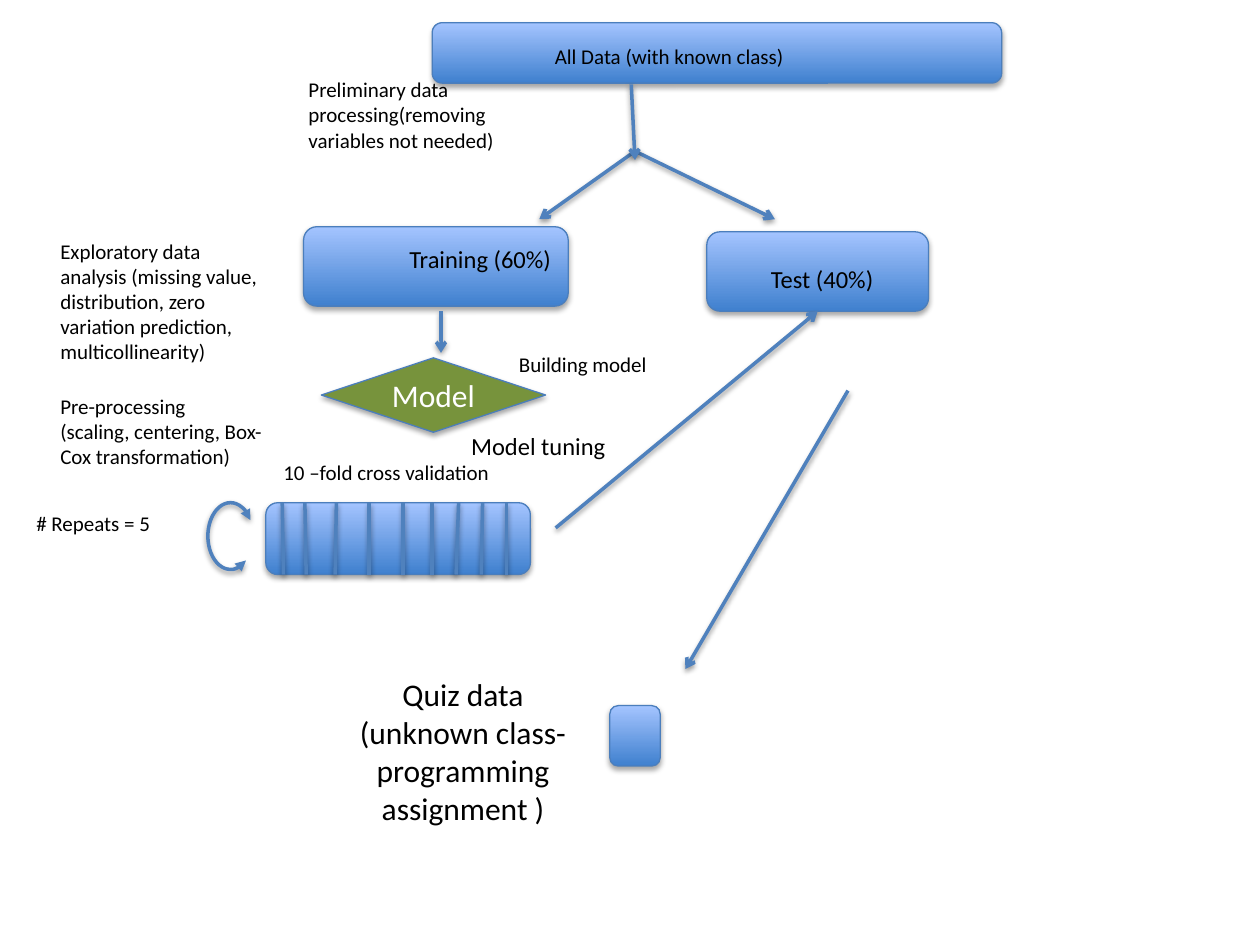
from lxml.etree import SubElement
from pptx import Presentation
from pptx.dml.color import RGBColor
from pptx.enum.shapes import MSO_CONNECTOR as Link, MSO_SHAPE as Preset
from pptx.enum.text import MSO_ANCHOR as Anchor, MSO_AUTO_SIZE as AutoSize, PP_ALIGN as Align
from pptx.oxml.ns import qn
from pptx.util import Inches, Pt

FONT = "Calibri"
EDGE = "4B7EBC"
STROKE = "4F81BD"


def color(code):
    """Turn a hex string into a colour."""
    return RGBColor.from_string(code)


def add_shadow(shape, opacity, distance):
    """Give a shape or connector a soft shadow straight below it."""
    effects = SubElement(shape._element.spPr, qn("a:effectLst"))
    outer = SubElement(effects, qn("a:outerShdw"), blurRad=str(Pt(3.1)),
                       dist=str(Pt(distance)), dir="5400000", rotWithShape="0")
    tone = SubElement(outer, qn("a:srgbClr"), val="000000")
    SubElement(tone, qn("a:alpha"), val=str(opacity * 1000))


def set_line(shape, code, width, head=None, tail=None):
    """Set the line colour, width and arrowheads."""
    shape.line.color.rgb = color(code)
    shape.line.width = Pt(width)
    outline = shape.line._get_or_add_ln()
    for tag, kind in (("a:headEnd", head), ("a:tailEnd", tail)):
        if kind:
            SubElement(outline, qn(tag), type=kind)


def write_text(frame, text, size=12, ink="000000", align=Align.LEFT):
    """Fill a text frame, one paragraph for each line of text."""
    frame.word_wrap = True
    for index, line in enumerate(text.split("\n")):
        para = frame.add_paragraph() if index else frame.paragraphs[0]
        para.alignment = align
        span = para.add_run()
        span.text = line
        span.font.name = FONT
        span.font.size = Pt(size)
        span.font.color.rgb = color(ink)


def add_label(page, text, left, top, width, height, **style):
    """Add a text box that grows with its text."""
    box = page.shapes.add_textbox(*map(Inches, (left, top, width, height)))
    write_text(box.text_frame, text, **style)
    box.text_frame.auto_size = AutoSize.SHAPE_TO_FIT_TEXT


def add_data_block(page, left, top, width, height):
    """Add a rounded block with a blue gradient."""
    block = page.shapes.add_shape(Preset.ROUNDED_RECTANGLE,
                                  *map(Inches, (left, top, width, height)))
    block.fill.gradient()
    block.fill.gradient_angle = 90
    for stop, code in zip(block.fill.gradient_stops, ("3F80CE", "A4C4FF")):
        stop.color.rgb = color(code)
    set_line(block, EDGE, 0.75)
    add_shadow(block, 35, 1.8)


def add_link(page, x1, y1, x2, y2, tail="arrow"):
    """Add a straight connector, with an arrowhead unless tail is None."""
    link = page.shapes.add_connector(Link.STRAIGHT, *map(Inches, (x1, y1, x2, y2)))
    set_line(link, STROKE, 2, tail=tail)
    add_shadow(link, 38, 1.6)


def add_repeat_loop(page, left, top, width, height):
    """Add the open loop with an arrowhead at each end."""
    loop = page.shapes.add_shape(Preset.ARC, *map(Inches, (left, top, width, height)))
    loop.adjustments[0] = 34.56
    loop.adjustments[1] = 192.81
    loop.fill.background()
    set_line(loop, STROKE, 2, head="triangle", tail="triangle")
    add_shadow(loop, 38, 1.6)


def add_model(page, left, top, width, height):
    """Add the green model diamond."""
    model = page.shapes.add_shape(Preset.DIAMOND, *map(Inches, (left, top, width, height)))
    model.fill.solid()
    model.fill.fore_color.rgb = color("77933C")
    set_line(model, EDGE, 0.75)
    add_shadow(model, 35, 1.8)
    write_text(model.text_frame, "Model", size=18, ink="FFFFFF", align=Align.CENTER)
    model.text_frame.vertical_anchor = Anchor.MIDDLE


def add_folds(page, left, top, width, height):
    """Add the block of training data cut into ten folds."""
    add_data_block(page, left, top, width, height)
    cuts = ((2.24, 2.25), (2.42, 2.43), (2.67, 2.66), (2.93, 2.93), (3.2, 3.2),
            (3.43, 3.43), (3.64, 3.62), (3.83, 3.82), (4.02, 4.02))
    for upper, lower in cuts:
        add_link(page, upper, top, lower, top + height, tail=None)


def main():
    """Build the model training flow."""
    deck = Presentation()
    deck.slide_width, deck.slide_height = Inches(10), Inches(7.5)
    page = deck.slides.add_slide(deck.slide_layouts[6])

    add_data_block(page, 3.43, 0.18, 4.52, 0.48)
    add_link(page, 5.04, 1.2, 4.28, 1.74)
    add_data_block(page, 2.41, 1.8, 2.1, 0.63)
    add_data_block(page, 5.61, 1.84, 1.76, 0.63)
    add_label(page, "All Data (with known class) ", 3.07, 0.3, 4.52, 0.3, align=Align.CENTER)
    add_label(page, "Training (60%)", 3.15, 1.89, 1.54, 0.34, size=14)
    add_label(page, "Test (40%)", 6.02, 2.05, 1.26, 0.34, size=14)
    add_link(page, 5.04, 1.2, 6.15, 1.74)
    add_data_block(page, 4.84, 5.6, 0.4, 0.48)

    add_folds(page, 2.11, 3.99, 2.1, 0.57)
    add_label(page, "10 –fold cross validation", 2.15, 3.6, 2.99, 0.3)
    add_repeat_loop(page, 1.65, 3.99, 0.36, 0.53)
    add_label(page, "# Repeats = 5", 0.19, 4, 1.3, 0.3)
    add_label(page, "Quiz data (unknown class- programming assignment )",
              2.66, 5.31, 2.03, 1.31, size=18, align=Align.CENTER)

    add_link(page, 4.41, 4.19, 6.49, 2.47)
    add_link(page, 3.5, 2.47, 3.5, 2.8)
    add_link(page, 6.73, 3.1, 5.44, 5.31)
    add_model(page, 2.55, 2.84, 1.78, 0.59)
    add_label(page, "Pre-processing\n(scaling, centering, Box-Cox transformation)",
              0.38, 3.07, 1.92, 0.71)
    add_label(page, "Model tuning", 3.64, 3.37, 1.38, 0.34, size=14)
    add_link(page, 5.01, 0.67, 5.04, 1.27)
    add_label(page, "Preliminary data processing(removing variables not needed)",
              2.35, 0.56, 2.1, 0.71)
    add_label(page, "Exploratory data analysis (missing value, distribution, "
              "zero variation prediction, multicollinearity)", 0.38, 1.84, 1.78, 1.11)
    add_label(page, "Building model", 4.02, 2.74, 1.78, 0.3)

    deck.save("out.pptx")


if __name__ == "__main__":
    main()
